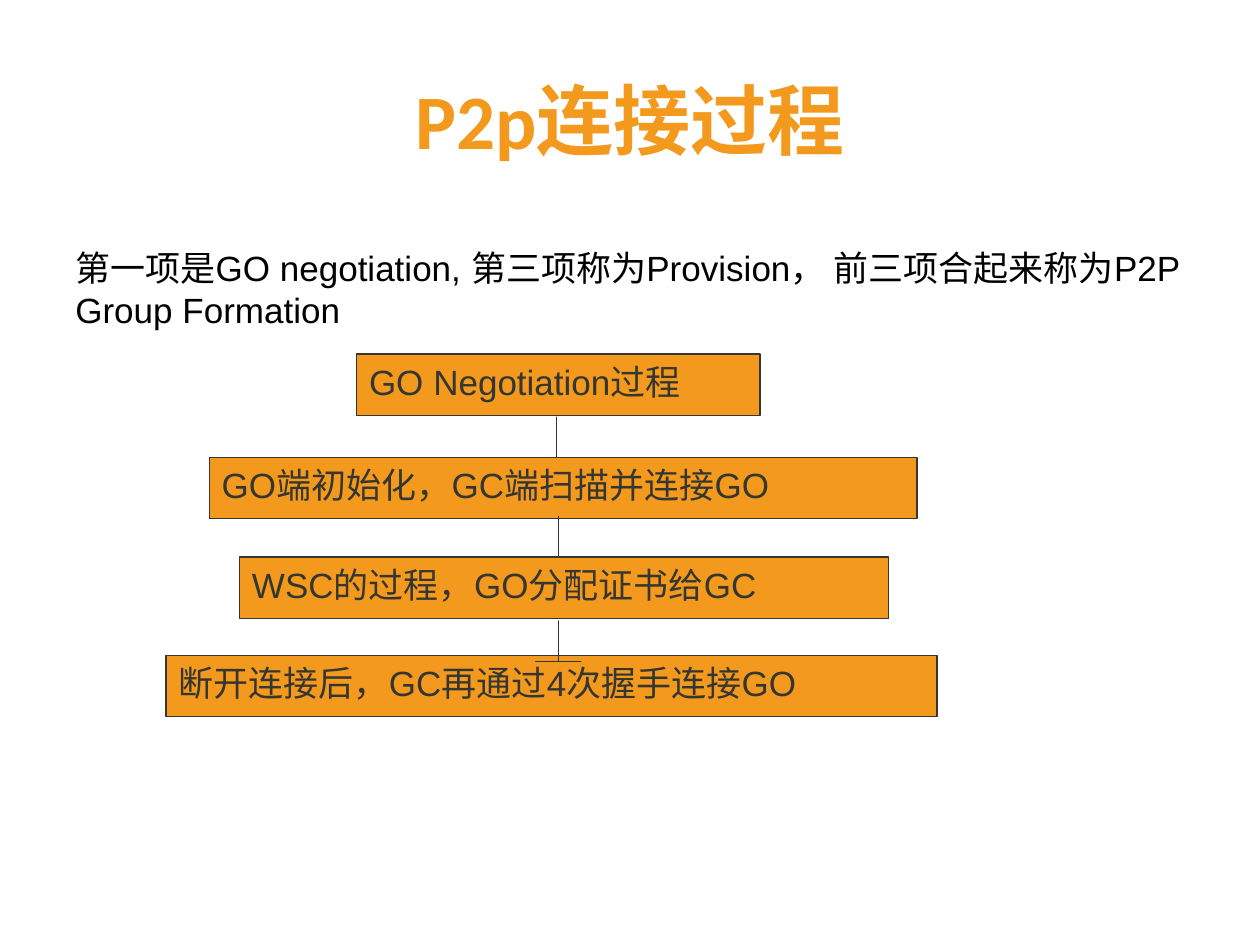
from pptx import Presentation
from pptx.dml.color import RGBColor
from pptx.enum.shapes import MSO_SHAPE as Shape
from pptx.enum.text import MSO_ANCHOR as Anchor, PP_ALIGN as Align
from pptx.util import Cm, Pt

ORANGE, DARK, BLACK = "F39A1E", "353630", "000000"

TITLE = "P2p连接过程"
INTRO = "第一项是GO negotiation, 第三项称为Provision， 前三项合起来称为P2P Group Formation"
STEPS = [
    ("GO Negotiation过程", 7.19, 7.14, 8.13),
    ("GO端初始化，GC端扫描并连接GO", 4.22, 9.22, 14.27),
    ("WSC的过程，GO分配证书给GC", 4.83, 11.23, 13.08),
    ("断开连接后，GC再通过4次握手连接GO", 3.35, 13.21, 15.54),
]
ARROWS = [(10.77, 8.41), (10.8, 10.41), (10.8, 12.52)]
STEP_HEIGHT = 1.24
ARROW_SIZE = (0.91, 0.81)
TITLE_FONT = {"name": "Calibri", "size": Pt(44), "bold": True}
BODY_FONT = {"name": "Arial", "size": Pt(20), "bold": False}


def color(value):
    return RGBColor.from_string(value)


def set_all(target, values):
    for name, value in values.items():
        setattr(target, name, value)


def write(box, text, font, ink, **layout):
    set_all(box.text_frame, {"word_wrap": True, "vertical_anchor": Anchor.TOP})
    para = box.text_frame.paragraphs[0]
    set_all(para, {"alignment": Align.LEFT, **layout})
    span = para.add_run()
    span.text = text
    set_all(span.font, font)
    span.font.color.rgb = color(ink)


def add_text(page, place, *content, **layout):
    box = page.shapes.add_textbox(*map(Cm, place))
    write(box, *content, **layout)


def add_block(page, kind, *place):
    block = page.shapes.add_shape(kind, *map(Cm, place))
    block.shadow.inherit = False
    block.fill.solid()
    block.fill.fore_color.rgb = color(ORANGE)
    block.line.color.rgb = color(DARK)
    block.line.width = Pt(0.75)
    return block


def main():
    deck = Presentation()
    set_all(deck, {"slide_width": Cm(25.4), "slide_height": Cm(19.05)})
    page = deck.slides.add_slide(deck.slide_layouts[6])
    add_text(page, (1.27, 1.7, 22.86, 3.15), TITLE, TITLE_FONT, ORANGE,
             alignment=Align.CENTER, line_spacing=0.8)
    add_text(page, (1.27, 4.85, 22.86, 11.91), INTRO, BODY_FONT, BLACK)
    for text, left, top, width in STEPS:
        step = add_block(page, Shape.RECTANGLE, left, top, width, STEP_HEIGHT)
        write(step, text, BODY_FONT, DARK)
    for left, top in ARROWS:
        arrow = add_block(page, Shape.DOWN_ARROW, left, top, *ARROW_SIZE)
        for index in range(2):
            arrow.adjustments[index] = 0
    deck.save("out.pptx")


if __name__ == "__main__":
    main()
